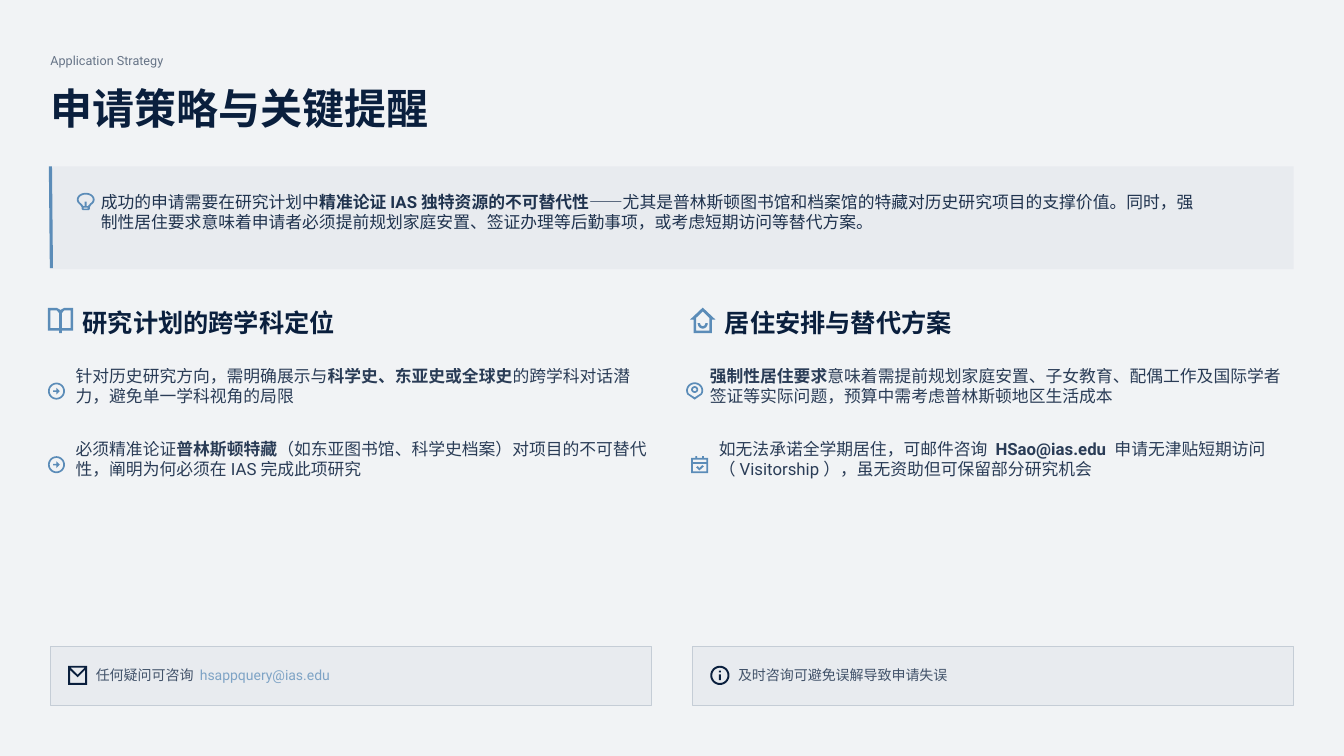
import math

import pptx
import pptx.dml.color
import pptx.enum.shapes
import pptx.enum.text
import pptx.oxml
import pptx.oxml.ns
import pptx.util
from pptx.util import Inches

NAVY, BLUE, PANEL, BORDER, PAPER = "0A1F3D", "5B8CB8", "E8EBEF", "C5CDD6", "F1F3F5"
FONT = "Roboto"

KICKER = [[[("Application Strategy", False)]]]
TITLE = [[[("申请策略与关键提醒", True)]]]
CALLOUT = [[
    [("成功的申请需要在研究计划中", False), ("精准论证IAS独特资源的不可替代性", True),
     ("——尤其是普林斯顿图书馆和档案馆的特藏对历史研究项目的支撑价值。同时，强", False)],
    [("制性居住要求意味着申请者必须提前规划家庭安置、签证办理等后勤事项，或考虑短期访问等替代方案。", False)],
]]
COLUMNS = [
    {
        "heading": "研究计划的跨学科定位", "heading_left": 0.82, "heading_icon": ("book", 0.6),
        "list_left": 0.75, "indents": [0, 0], "item_icons": [("arrow", 0.56), ("arrow", 0.56)],
        "items": [
            [[("针对历史研究方向，需明确展示与", False), ("科学史、东亚史或全球史", True), ("的跨学科对话潜", False)],
             [("力，避免单一学科视角的局限", False)]],
            [[("必须精准论证", False), ("普林斯顿特藏", True), ("（如东亚图书馆、科学史档案）对项目的不可替代", False)],
             [("性，阐明为何必须在IAS完成此项研究", False)]],
        ],
        "panel_left": 0.5, "footer_icon": "mail",
        "footer": [("任何疑问可咨询 ", False), ("hsappquery@ias.edu", False, BLUE)],
    },
    {
        "heading": "居住安排与替代方案", "heading_left": 7.19, "heading_icon": ("house", 6.97),
        "list_left": 7.04, "indents": [0, 0.09], "item_icons": [("pin", 6.89), ("calendar", 6.94)],
        "items": [
            [[("强制性居住要求", True), ("意味着需提前规划家庭安置、子女教育、配偶工作及国际学者", False)],
             [("签证等实际问题，预算中需考虑普林斯顿地区生活成本", False)]],
            [[("如无法承诺全学期居住，可邮件咨询 ", False), ("HSao@ias.edu", True), (" 申请无津贴短期访问", False)],
             [("（Visitorship），虽无资助但可保留部分研究机会", False)]],
        ],
        "panel_left": 6.87, "footer_icon": "info",
        "footer": [("及时咨询可避免误解导致申请失误", False)],
    },
]


def arc(radius_x, radius_y, center_y=0, start=0, end=360):
    angles = [math.radians(start + (end - start) * step / 32) for step in range(33)]
    return [(radius_x * math.cos(a), center_y + radius_y * math.sin(a)) for a in angles]


def box(left, top, right, bottom):
    return [(left, top), (right, top), (right, bottom), (left, bottom)]


def mirror(points):
    return [(-x, y) for x, y in points]


PAGE = [(-10, 7.5), (-1.3, 7.5), (-1.3, -7.5), (-3.7, -10), (-10, -10)]
ICONS = {
    "bulb": [
        arc(8.8, 6.7, -2, 130, 410) + [(4, 5.5), (4, 7.5), (3, 8.5), (-3, 8.5), (-4, 7.5), (-4, 5.5)],
        arc(7, 5, -2, 130, 410) + [(2.2, 4.5), (1, 4.5), (1, 0), (-1, 0), (-1, 4.5), (-2.2, 4.5)],
        box(-2, 6, 2, 7),
    ],
    "book": [
        [(-12.5, -12.5), (-3.5, -12.5), (0, -10.5), (3.5, -12.5), (12.5, -12.5), (12.5, 10),
         (1.3, 10), (1.3, 12.5), (-1.3, 12.5), (-1.3, 10), (-12.5, 10)],
        PAGE, mirror(PAGE),
    ],
    "house": [
        [(0, -12.8), (12.5, -1), (9, -1), (9, 12.5), (-9, 12.5), (-9, -1), (-12.5, -1)],
        [(-6.5, 10), (-6.5, -2.7), (0, -9), (6.5, -2.7), (6.5, 10)],
        arc(5, 5.5, 2.5, 0, 180) + arc(2.6, 3, 2.5, 180, 0),
    ],
    "arrow": [
        arc(8.4, 8.4), arc(6.7, 6.7),
        [(-3.3, -0.8), (0, -0.8), (0, -3.3), (3.3, 0), (0, 3.3), (0, 0.8), (-3.3, 0.8)],
    ],
    "pin": [
        arc(8.4, 8, -0.6, 150, 390) + [(0, 8.5)],
        arc(6.7, 6.3, -0.6, 150, 390) + [(0, 6.2)],
        arc(3.5, 3.3, -1.5), arc(1.8, 1.6, -1.5),
    ],
    "calendar": [
        [(-8.5, -6.6), (-4.2, -6.6), (-4.2, -8.5), (-2.5, -8.5), (-2.5, -6.6), (2.5, -6.6),
         (2.5, -8.5), (4.2, -8.5), (4.2, -6.6), (8.5, -6.6), (8.5, 8.5), (-8.5, 8.5)],
        box(-6.7, -5, 6.7, -2.5), box(-6.7, -0.8, 6.7, 6.8),
        [(-0.3, 3.3), (2.7, 0.5), (4.2, 1.8), (-0.3, 5.8), (-3.6, 2.7), (-2, 1.5)],
    ],
    "mail": [
        box(-9.4, -9.4, 9.4, 9.4),
        [(7.5, 7.5), (7.5, -5.4), (0, 2), (-7.5, -5.4), (-7.5, 7.5)],
        [(7, -7.5), (-7, -7.5), (0, -0.5)],
    ],
    "info": [arc(9.5, 9.5), arc(7.6, 7.6), box(-1, -4.8, 1, -2.9), box(-1, -1, 1, 4.8)],
}


def rgb(value):
    return pptx.dml.color.RGBColor.from_string(value)


def place(shape, left, top, width, height):
    shape.left, shape.top = Inches(left), Inches(top)
    shape.width, shape.height = Inches(width), Inches(height)


def write(shape, paragraphs, size, opacity=100, indents=(0, 0), gap=0):
    frame = shape.text_frame
    frame.margin_left = frame.margin_right = frame.margin_top = frame.margin_bottom = 0
    frame.word_wrap = False
    frame.auto_size = pptx.enum.text.MSO_AUTO_SIZE.NONE
    frame.vertical_anchor = pptx.enum.text.MSO_ANCHOR.TOP
    for index, lines in enumerate(paragraphs):
        paragraph = frame.paragraphs[0] if index == 0 else frame.add_paragraph()
        properties = paragraph._p.get_or_add_pPr()
        properties.set("marL", str(Inches(indents[index])))
        properties.set("indent", "0")
        pptx.oxml.ns.qn("a:buNone")
        properties.append(pptx.oxml.parse_xml("<a:buNone %s/>" % pptx.oxml.ns.nsdecls("a")))
        paragraph.alignment = pptx.enum.text.PP_ALIGN.LEFT
        paragraph.space_before = pptx.util.Pt(gap if index else 0)
        for number, line in enumerate(lines):
            if number:
                paragraph.add_line_break()
            for text, bold, *colour in line:
                run = paragraph.add_run()
                run.text = text
                run.font.name, run.font.size, run.font.bold = FONT, pptx.util.Pt(size), bold
                run.font.color.rgb = rgb(colour[0] if colour else NAVY)
                if opacity < 100:
                    alpha = '<a:alpha %s val="%d"/>' % (pptx.oxml.ns.nsdecls("a"), opacity * 1000)
                    run._r.xpath(".//a:srgbClr")[0].append(pptx.oxml.parse_xml(alpha))


def add_text(slide, left, top, width, height, *content):
    shape = slide.shapes.add_textbox(0, 0, 0, 0)
    place(shape, left, top, width, height)
    write(shape, *content)


def add_panel(slide, left, top, width, height, border=None):
    shape = slide.shapes.add_shape(pptx.enum.shapes.MSO_SHAPE.RECTANGLE, 0, 0, 0, 0)
    place(shape, left, top, width, height)
    shape.shadow.inherit = False
    shape.fill.solid()
    shape.fill.fore_color.rgb = rgb(PANEL)
    if border:
        shape.line.color.rgb = rgb(border)
        shape.line.width = pptx.util.Pt(0.75)
    else:
        shape.line.fill.background()


def add_icon(slide, name, center_x, center_y, colour):
    contours = [[(x * 100, y * 100) for x, y in contour] for contour in ICONS[name]]
    builder = slide.shapes.build_freeform(*contours[0][0], scale=Inches(1) / 10000)
    for index, contour in enumerate(contours):
        if index:
            builder.move_to(*contour[0])
        builder.add_line_segments(contour[1:], close=True)
    shape = builder.convert_to_shape(Inches(center_x), Inches(center_y))
    shape.shadow.inherit = False
    shape.fill.solid()
    shape.fill.fore_color.rgb = rgb(colour)
    shape.line.fill.background()


def main():
    presentation = pptx.Presentation()
    presentation.slide_width, presentation.slide_height = Inches(13.33), Inches(7.5)
    slide = presentation.slides.add_slide(presentation.slide_layouts[4])
    slide.background.fill.solid()
    slide.background.fill.fore_color.rgb = rgb(PAPER)
    holders = {holder.placeholder_format.idx: holder for holder in slide.placeholders}

    add_text(slide, 0.5, 0.52, 12.33, 0.15, KICKER, 9, 60)
    place(holders[0], 0.5, 0.82, 12.33, 0.47)
    write(holders[0], TITLE, 30)

    add_panel(slide, 0.5, 1.65, 12.33, 1.02)
    accent = slide.shapes.add_connector(
        pptx.enum.shapes.MSO_CONNECTOR.STRAIGHT, Inches(0.5), Inches(1.65), Inches(0.51), Inches(2.66))
    accent.line.color.rgb = rgb(BLUE)
    accent.line.width = pptx.util.Pt(2.25)
    accent._element.spPr.append(pptx.oxml.parse_xml("<a:effectLst %s/>" % pptx.oxml.ns.nsdecls("a")))
    add_icon(slide, "bulb", 0.85, 2, BLUE)
    add_text(slide, 1, 1.9, 11.83, 0.5, CALLOUT, 12, 90)

    for index, column in enumerate(COLUMNS):
        heading, body = holders[1 + 2 * index], holders[2 + 2 * index]
        place(heading, column["heading_left"], 3.05, 2.56, 0.27)
        write(heading, [[[(column["heading"], True)]]], 18)
        place(body, column["list_left"], 3.63, 5.79, 1.2)
        write(body, column["items"], 12, 85, column["indents"], 23)
        name, center_x = column["heading_icon"]
        add_icon(slide, name, center_x, 3.18, BLUE)
        for row, (name, center_x) in enumerate(column["item_icons"]):
            add_icon(slide, name, center_x, 3.88 + 0.73 * row, BLUE)
        left = column["panel_left"]
        add_panel(slide, left, 6.41, 5.96, 0.59, BORDER)
        add_icon(slide, column["footer_icon"], left + 0.27, 6.7, NAVY)
        add_text(slide, left + 0.45, 6.61, 2.48, 0.17, [[column["footer"]]], 10, 75)

    presentation.save("out.pptx")


if __name__ == "__main__":
    main()
